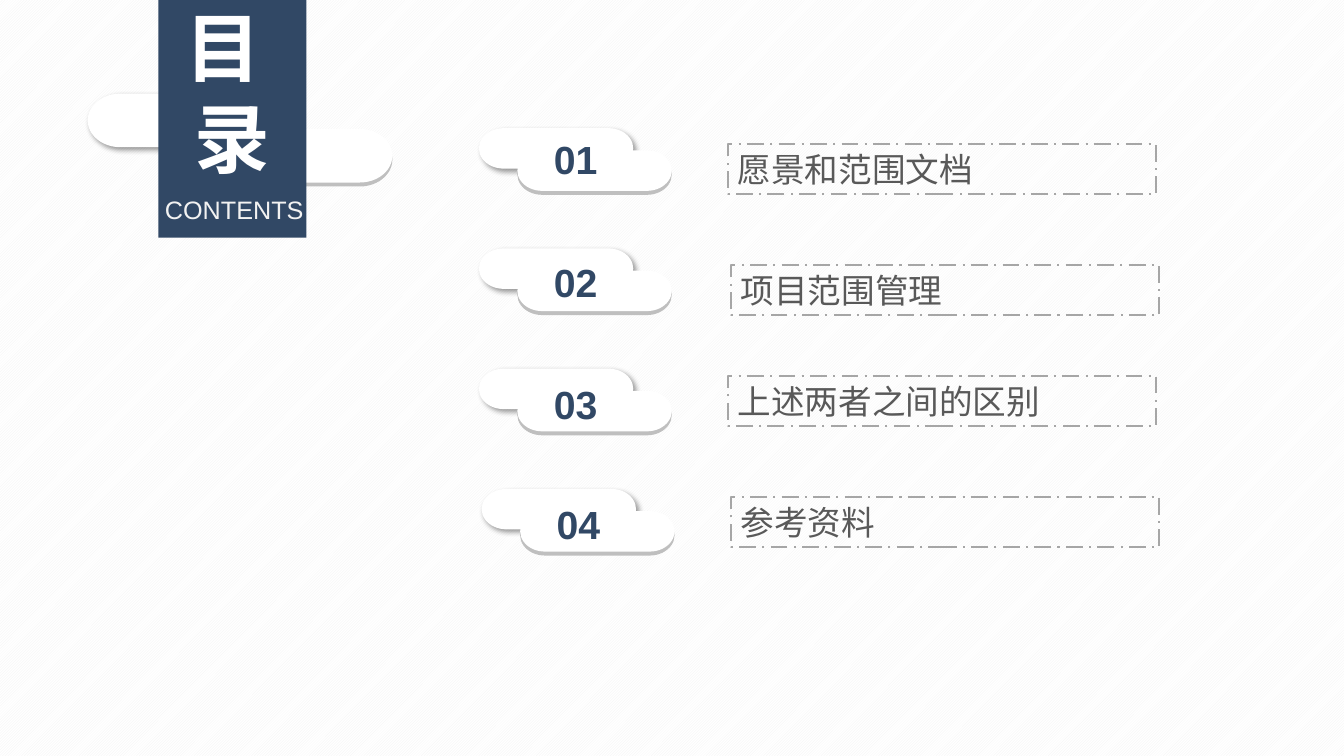
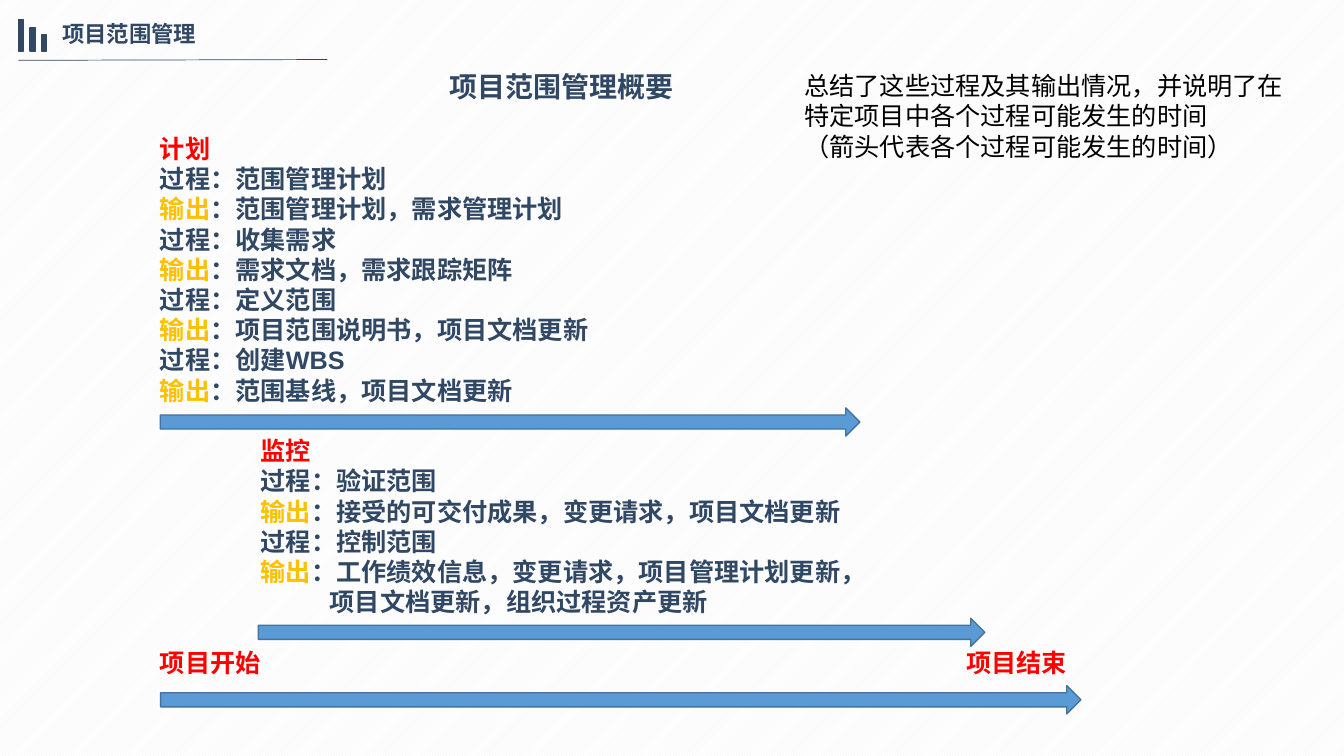
"""Build a contents slide and a scope management overview slide."""
from lxml import etree
from pptx import Presentation
from pptx.dml.color import RGBColor
from pptx.enum.dml import MSO_LINE as Dash, MSO_PATTERN as Pat
from pptx.enum.shapes import MSO_CONNECTOR as Link, MSO_SHAPE as Geo
from pptx.enum.text import MSO_ANCHOR as Anchor, PP_ALIGN as Align
from pptx.oxml.ns import qn
from pptx.util import Cm, Pt

NAVY, WHITE, PALE, GREY = "314865", "FFFFFF", "F2F2F2", "BFBFBF"
RED, GOLD, BLUE, EDGE = "FF0000", "FFC000", "5B9BD5", "43739E"
SANS = "Arial"

# number, title, cloud left, number top, frame left, frame top
ITEMS = [
    ("01", "愿景和范围文档", 12.07, 3.28, 18.34, 3.63),
    ("02", "项目范围管理", 12.07, 6.38, 18.42, 6.68),
    ("03", "上述两者之间的区别", 12.07, 9.45, 18.34, 9.47),
    ("04", "参考资料", 12.14, 12.47, 18.42, 12.52),
]
OUT, LINE = "输出", 21.6
# indent, space before, runs
STEPS = [
    (0, 0, [("计划", RED)]),
    (0, 0, [("过程：范围管理计划", NAVY)]),
    (0, 0, [(OUT, GOLD), ("：范围管理计划，需求管理计划", NAVY)]),
    (0, 0, [("过程：收集需求", NAVY)]),
    (0, 0, [(OUT, GOLD), ("：需求文档，需求跟踪矩阵", NAVY)]),
    (0, 0, [("过程：定义范围", NAVY)]),
    (0, 0, [(OUT, GOLD), ("：项目范围说明书，项目文档更新", NAVY)]),
    (0, 0, [("过程：创建WBS", NAVY)]),
    (0, 0, [(OUT, GOLD), ("：范围基线，项目文档更新", NAVY)]),
    (2.54, LINE, [("监控", RED)]),
    (2.54, 0, [("过程：验证范围", NAVY)]),
    (2.54, 0, [(OUT, GOLD), ("：接受的可交付成果，变更请求，项目文档更新", NAVY)]),
    (2.54, 0, [("过程：控制范围", NAVY)]),
    (2.54, 0, [(OUT, GOLD), ("：工作绩效信息，变更请求，项目管理计划更新，", NAVY)]),
    (4.28, 0, [("项目文档更新，组织过程资产更新", NAVY)]),
    (0, LINE, [("项目开始\t项目结束", RED)]),
]
NOTE = ["总结了这些过程及其输出情况，并说明了在特定项目中各个过程可能发生的时间",
        "（箭头代表各个过程可能发生的时间）"]
ARROWS = [(4.04, 10.28, 17.63), (6.51, 15.58, 18.31), (4.05, 17.28, 23.19)]
BARS = [(0.46, 0.79), (0.76, 0.58), (1.04, 0.41)]

deck = Presentation()
deck.slide_width, deck.slide_height = Cm(33.87), Cm(19.05)


def rgb(code):
    return RGBColor.from_string(code)


def page(pattern):
    slide = deck.slides.add_slide(deck.slide_layouts[6])
    fill = slide.background.fill
    fill.patterned()
    fill.pattern = pattern
    fill.fore_color.rgb, fill.back_color.rgb = rgb(PALE), rgb(WHITE)
    return slide.shapes


def shape(to, geo, box, fill=None, line=None, width=1):
    item = to.add_shape(geo, *map(Cm, box))
    item.shadow.inherit = False
    if fill:
        item.fill.solid()
        item.fill.fore_color.rgb = rgb(fill)
    else:
        item.fill.background()
    if line:
        item.line.color.rgb = rgb(line)
        item.line.width = Pt(width)
    else:
        item.line.fill.background()
    return item


def style(para, size, color=None, bold=False, align=Align.LEFT, face=SANS):
    para.alignment = align
    font = para.font
    font.name, font.size, font.bold = face, Pt(size), bold
    if color:
        font.color.rgb = rgb(color)


def write(item, lines, *look, anchor=Anchor.TOP, pad=None, **more):
    frame = item.text_frame
    frame.word_wrap, frame.vertical_anchor = True, anchor
    if pad is not None:
        frame.margin_left = frame.margin_right = Cm(pad)
        frame.margin_top = frame.margin_bottom = Cm(pad)
    frame.text = "\n".join(lines)
    for para in frame.paragraphs:
        style(para, *look, **more)


def label(to, box, lines, *look, **more):
    write(to.add_textbox(*map(Cm, box)), lines, *look, **more)


def shade(item):
    glow = etree.SubElement(item._element.spPr.find(qn("a:effectLst")), qn("a:outerShdw"),
                            blurRad=str(Pt(4)), dist=str(Pt(3)), dir="2700000",
                            algn="tl", rotWithShape="0")
    tint = etree.SubElement(glow, qn("a:srgbClr"), val="000000")
    etree.SubElement(tint, qn("a:alpha"), val="40000")


def cloud(to, x, y, w, h, dx, dy):
    pill = Geo.FLOWCHART_TERMINATOR
    shape(to, pill, (x + dx, y + dy + 0.1, w, h), GREY)
    shade(shape(to, pill, (x, y, w, h), WHITE))
    shape(to, pill, (x + dx, y + dy, w, h), WHITE)


def contents():
    to = page(Pat.LIGHT_UPWARD_DIAGONAL)
    cloud(to, 2.21, 2.36, 5.11, 1.35, 2.57, 0.89)
    shape(to, Geo.RECTANGLE, (3.99, 0, 3.73, 5.99), NAVY)
    mid = dict(align=Align.CENTER, anchor=Anchor.MIDDLE, pad=0)
    label(to, (3.99, 0, 3.73, 4.62), ["目 ", "录"], 54, WHITE, True, **mid)
    label(to, (4.04, 4.9, 3.73, 0.76), ["CONTENTS"], 18, PALE, **mid)
    for row, (num, title, x, top, left, y) in enumerate(ITEMS):
        cloud(to, x, 3.23 + 3.03 * row, 3.89, 1.02, 0.97, 0.56)
        label(to, (x + 1.47, top, 1.93, 1.45), [num], 28, NAVY, True, align=Align.CENTER)
        frame = shape(to, Geo.RECTANGLE, (left, y, 10.8, 1.27), None, "A6A6A6", 1.5)
        frame.line.dash_style = Dash.LONG_DASH_DOT
        write(frame, [title], 24, "595959", align=Align.JUSTIFY)


def header(to, title):
    rule = to.add_connector(Link.STRAIGHT, Cm(0.46), Cm(1.52), Cm(8.25), Cm(1.5))
    rule.line.color.rgb, rule.line.width = rgb(NAVY), Pt(0.5)
    etree.SubElement(rule._element.spPr, qn("a:effectLst"))
    label(to, (1.32, 0.38, 6.76, 0.94), [title], 16, NAVY, True)
    for x, tall in BARS:
        shape(to, Geo.RECTANGLE, (x, 1.29 - tall, 0.13, tall), NAVY, NAVY)


def steps(to):
    frame = to.add_textbox(Cm(3.78), Cm(3.23), Cm(23.7), Cm(14.1)).text_frame
    frame.word_wrap = True
    for row, (indent, gap, runs) in enumerate(STEPS):
        para = frame.add_paragraph() if row else frame.paragraphs[0]
        style(para, 18, bold=True)
        para.space_before = Pt(gap)
        for text, color in runs:
            run = para.add_run()
            run.text = text
            run.font.color.rgb = rgb(color)
        para._p.get_or_add_pPr().set("marL", str(Cm(indent)))
    props = para._p.get_or_add_pPr()
    stops = etree.Element(qn("a:tabLst"))
    etree.SubElement(stops, qn("a:tab"), pos=str(Cm(20.32)), algn="l")
    props.find(qn("a:defRPr")).addprevious(stops)


def overview():
    to = page(Pat.DARK_UPWARD_DIAGONAL)
    header(to, "项目范围管理")
    steps(to)
    for x, y, wide in ARROWS:
        shape(to, Geo.RIGHT_ARROW, (x, y, wide, 0.71), BLUE, EDGE)
    label(to, (20.02, 1.65, 13.06, 2.57), NOTE, 18, "000000", face="Open Sans")
    label(to, (11.07, 1.63, 6.76, 1.12), ["项目范围管理概要"], 20, NAVY, True)


contents()
overview()
deck.save("out.pptx")
